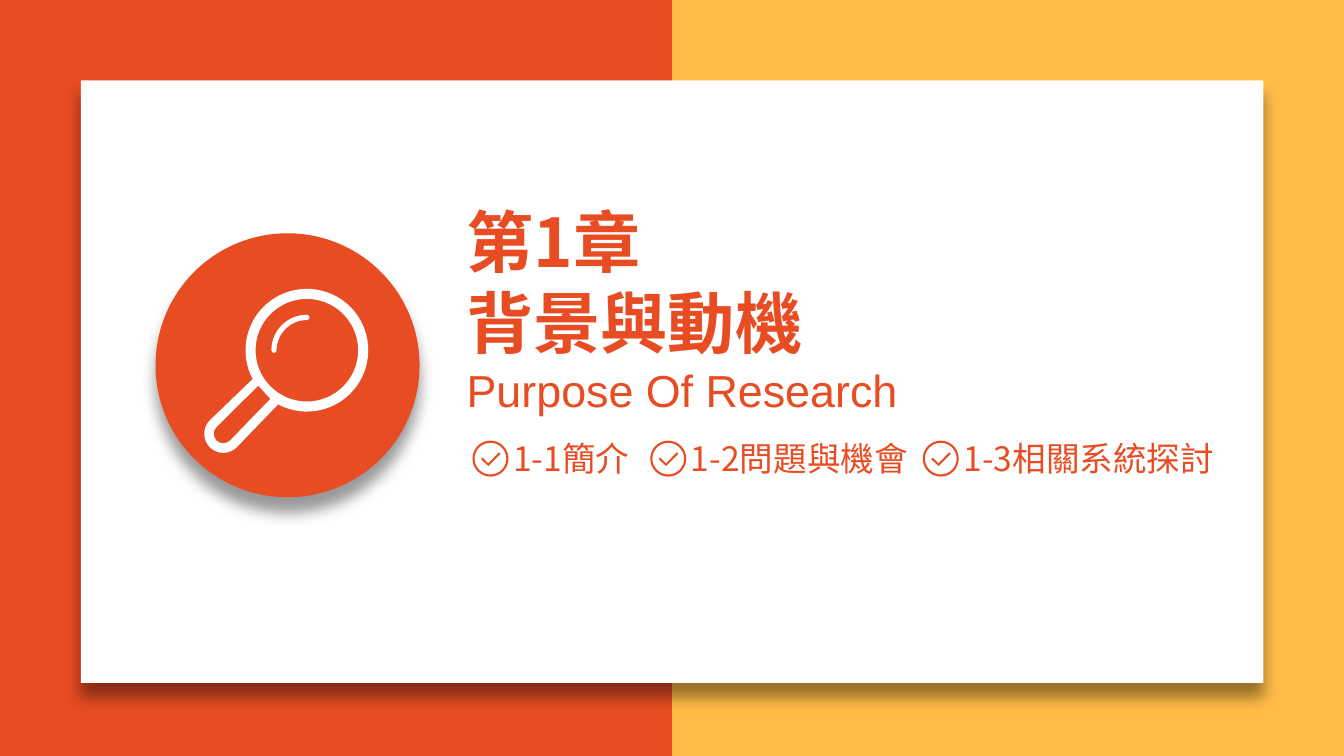
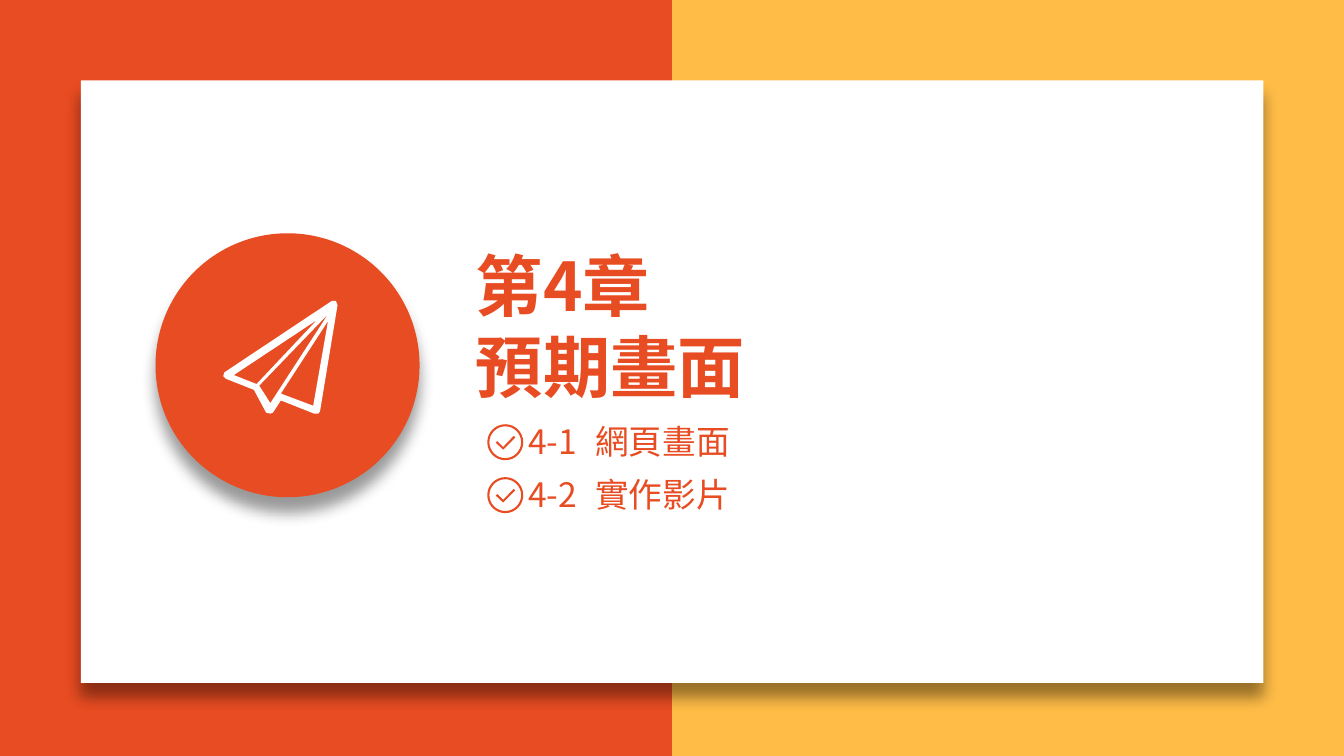
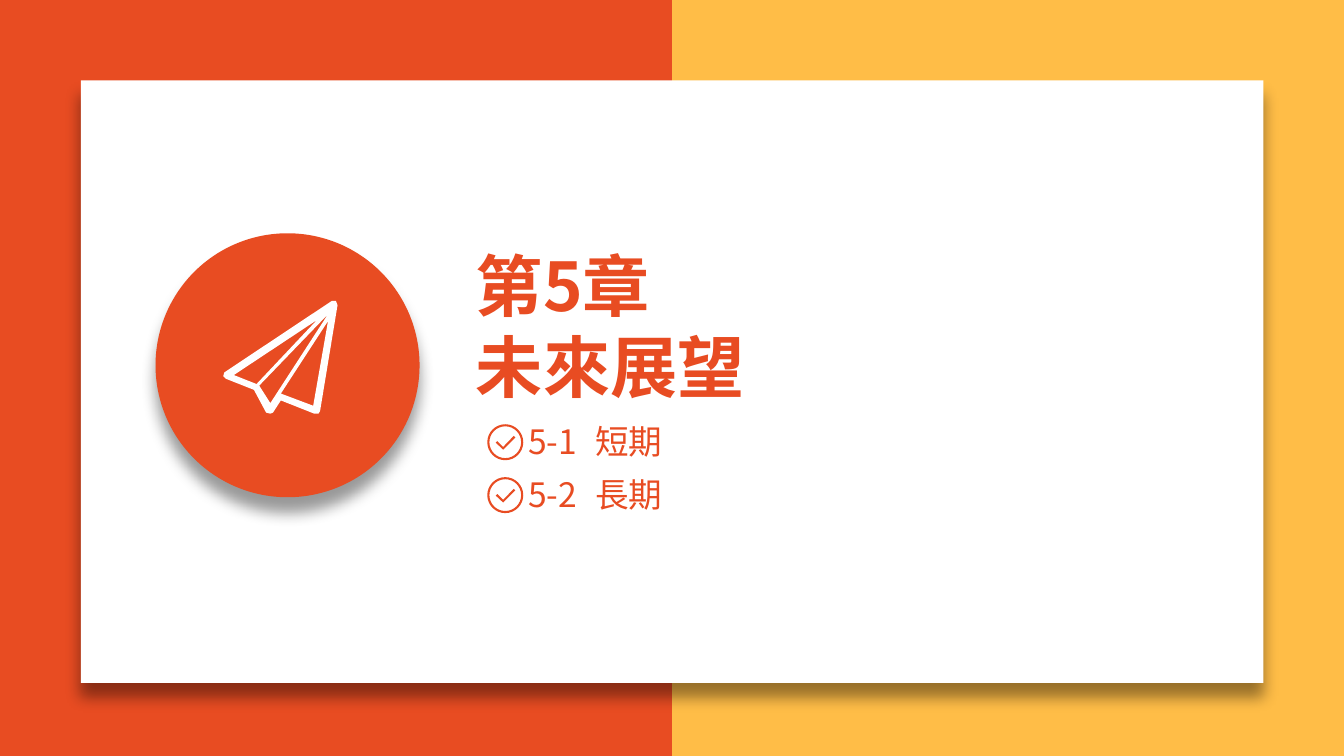
from dataclasses import dataclass
from math import ceil, cos, radians, sin, tan

from lxml import etree
from pptx import Presentation
from pptx.dml.color import RGBColor
from pptx.enum.shapes import MSO_SHAPE
from pptx.enum.text import MSO_ANCHOR, MSO_AUTO_SIZE, PP_ALIGN
from pptx.oxml.ns import qn
from pptx.util import Cm, Pt

RECTANGLE, OVAL = MSO_SHAPE.RECTANGLE, MSO_SHAPE.OVAL
TOP, LEFT, GROW = MSO_ANCHOR.TOP, PP_ALIGN.LEFT, MSO_AUTO_SIZE.SHAPE_TO_FIT_TEXT


@dataclass(frozen=True)
class Theme:
    red: RGBColor = RGBColor.from_string("E84C22")
    amber: RGBColor = RGBColor.from_string("FFBD47")
    white: RGBColor = RGBColor.from_string("FFFFFF")
    chinese: str = "Noto Sans CJK SC"
    english: str = "Arial"
    title_size: Pt = Pt(36)
    subtitle_size: Pt = Pt(24)
    section_size: Pt = Pt(18)


theme = Theme()


def arc(x, y, radius, start, end):
    """A line to the start of a circular arc, then one Bezier curve per quarter."""
    count = ceil(abs(end - start) / 90)
    sweep = radians(end - start) / count
    reach = 4 / 3 * tan(sweep / 4)
    steps = [[(x + radius * cos(radians(start)), y + radius * sin(radians(start)))]]
    for i in range(count):
        a = radians(start) + i * sweep
        b = a + sweep
        steps.append([
            (x + radius * (cos(a) - reach * sin(a)), y + radius * (sin(a) + reach * cos(a))),
            (x + radius * (cos(b) + reach * sin(b)), y + radius * (sin(b) - reach * cos(b))),
            (x + radius * cos(b), y + radius * sin(b))])
    return steps


def draw_outline(shapes, contours, color, left=0, top=0):
    """One filled shape; a step with one point is a line, with three a curve."""
    pen = None
    for contour in contours:
        points = [(Cm(left + x), Cm(top + y)) for step in contour for x, y in step]
        if pen is None:
            pen = shapes.build_freeform(*points[0])
        else:
            pen.move_to(*points[0])
        pen.add_line_segments(points[1:], close=True)
    outline = pen.convert_to_shape()
    outline.shadow.inherit = False
    outline.fill.solid()
    outline.fill.fore_color.rgb = color
    outline.line.fill.background()

    # Join the three points of each curve
    lines = iter(list(outline._element.iter(qn("a:lnTo"))))
    for step in (step for contour in contours for step in contour[1:]):
        parts = [next(lines) for _ in step]
        if len(parts) == 3:
            curve = etree.Element(qn("a:cubicBezTo"))
            parts[0].addprevious(curve)
            for part in parts:
                curve.append(part[0])
                part.getparent().remove(part)


# Icons: each is a list of parts, each part a list of contours
lens = (5.8, 6.62)
handle_end = (4.22, 8.2)
magnifier = [
    [
        arc(*lens, 1.16, 152, 478) + arc(*handle_end, 0.36, 45, 225),
        arc(*lens, 0.97, 360, 0),
        arc(*handle_end, 0.18, 45, 225) + [[(4.88, 7.29)], [(5.11, 7.54)]],
    ],
    [
        arc(*lens, 0.67, 180, 270) + arc(5.8, 6, 0.05, -90, 90)
        + arc(*lens, 0.57, 270, 180) + arc(5.18, 6.62, 0.05, 0, 180),
    ],
]
plane_corners = [
    [(5.92, 7.67), (5.31, 7.44), (6.2, 6.07)],
    [(4.9, 7.29), (6.2, 5.94), (5.11, 7.62)],
    [(4.42, 7.09), (5.99, 6.05), (4.85, 7.26)],
    [(6.35, 5.69), (6.27, 5.69), (4.24, 7.04), (4.22, 7.11), (4.27, 7.16),
     (4.8, 7.37), (5.03, 7.8), (5.11, 7.82), (5.16, 7.8), (5.31, 7.57),
     (5.94, 7.82), (6.02, 7.82), (6.05, 7.77), (6.38, 5.77)],
]
paper_plane = [[[[corner] for corner in corners] for corners in plane_corners]]
tick_corners = [(0.3, 0.48), (0.16, 0.35), (0.19, 0.32), (0.3, 0.43), (0.5, 0.22), (0.53, 0.25)]
check_mark = [
    [arc(0.34, 0.34, 0.34, 0, 360), arc(0.34, 0.34, 0.3, 360, 0)],
    [[[corner] for corner in tick_corners]],
]

# Chapters: boxes are left, top, width, height in cm
section_height, section_step = 1.02, 1
chapters = [
    dict(title=["第1章", "背景與動機"], title_box=(8.56, 3.66, 6.93, 3.33),
         subtitle="Purpose Of Research", icon=magnifier,
         sections=[("1-1簡介", 9.45, 8.15, 2.82),
                   ("1-2問題與機會", 12.81, 8.15, 4.75),
                   ("1-3相關系統探討", 17.96, 8.15, 5.38)]),
]
for heading, names, width in [
    (["第4章\t", "預期畫面"], ["4-1 \t網頁畫面", "4-2 \t實作影片"], 4.37),
    (["第5章\t", "未來展望"], ["5-1 \t短期", "5-2 \t長期"], 3.07),
]:
    chapters.append(dict(
        title=heading, title_box=(8.74, 4.5, 5.64, 3.33), subtitle=None, icon=paper_plane,
        sections=[(name, 9.73, 7.84 + i * section_step, width)
                  for i, name in enumerate(names)]))

deck = Presentation()
deck.slide_width, deck.slide_height = Cm(25.4), Cm(14.29)
layout = deck.slide_layouts[5]
slides = [deck.slides.add_slide(layout) for _ in chapters]

# Shared background: amber, with a red left half on the layout
layout.background.fill.solid()
layout.background.fill.fore_color.rgb = theme.amber
red_half = slides[0].shapes.add_shape(RECTANGLE, 0, 0, Cm(12.7), deck.slide_height)
red_half.shadow.inherit = False
red_half.fill.solid()
red_half.fill.fore_color.rgb = theme.red
red_half.line.fill.background()
layout.shapes._spTree.insert(2, red_half._element)

for slide, chapter in zip(slides, chapters):
    shapes = slide.shapes

    # White card and icon disc, both with a soft shadow below
    for preset, box, color in [
        (RECTANGLE, (1.53, 1.52, 22.35, 11.39), theme.white),
        (OVAL, (2.94, 4.41, 4.99, 4.99), theme.red),
    ]:
        panel = shapes.add_shape(preset, *map(Cm, box))
        panel.fill.solid()
        panel.fill.fore_color.rgb = color
        panel.line.fill.background()
        panel.shadow.inherit = False
        effects = panel._element.spPr.find(qn("a:effectLst"))
        shadow = etree.SubElement(effects, qn("a:outerShdw"), blurRad=str(Pt(8)),
                                  dist=str(Pt(8)), dir="5400000", rotWithShape="0")
        black = etree.SubElement(shadow, qn("a:srgbClr"), val="000000")
        etree.SubElement(black, qn("a:alpha"), val="40000")

    # Title placeholder, brought in front of the card
    title = shapes.title
    shapes._spTree.append(title._element)
    texts = [(title, chapter["title"], chapter["title_box"],
              dict(name=theme.chinese, size=theme.title_size, bold=True))]

    if chapter["subtitle"]:
        texts.append((shapes.add_textbox(0, 0, 0, 0), [chapter["subtitle"]],
                      (8.57, 6.74, 8.74, 1.27),
                      dict(name=theme.english, size=theme.subtitle_size)))

    # Chapter icon on the disc
    icon = shapes.add_group_shape().shapes if len(chapter["icon"]) > 1 else shapes
    for part in chapter["icon"]:
        draw_outline(icon, part, theme.white)

    # Sections, each with a check mark on its left
    for name, left, top, width in chapter["sections"]:
        check = shapes.add_group_shape()
        for part in check_mark:
            draw_outline(check.shapes, part, theme.red, left - 0.52, top + 0.18)
        texts.append((shapes.add_textbox(0, 0, 0, 0), [name],
                      (left, top, width, section_height),
                      dict(name=theme.chinese, size=theme.section_size)))

    # Wording and type
    for holder, lines, box, font_format in texts:
        holder.left, holder.top, holder.width, holder.height = map(Cm, box)
        frame = holder.text_frame
        frame.text = "\n".join(lines)
        for key, value in dict(word_wrap=False, auto_size=GROW, vertical_anchor=TOP).items():
            setattr(frame, key, value)
        for paragraph in frame.paragraphs:
            paragraph.alignment = LEFT
            for run in paragraph.runs:
                for key, value in font_format.items():
                    setattr(run.font, key, value)
                run.font.color.rgb = theme.red
                etree.SubElement(run.font._element, qn("a:ea"), typeface=font_format["name"])

deck.save("out.pptx")
